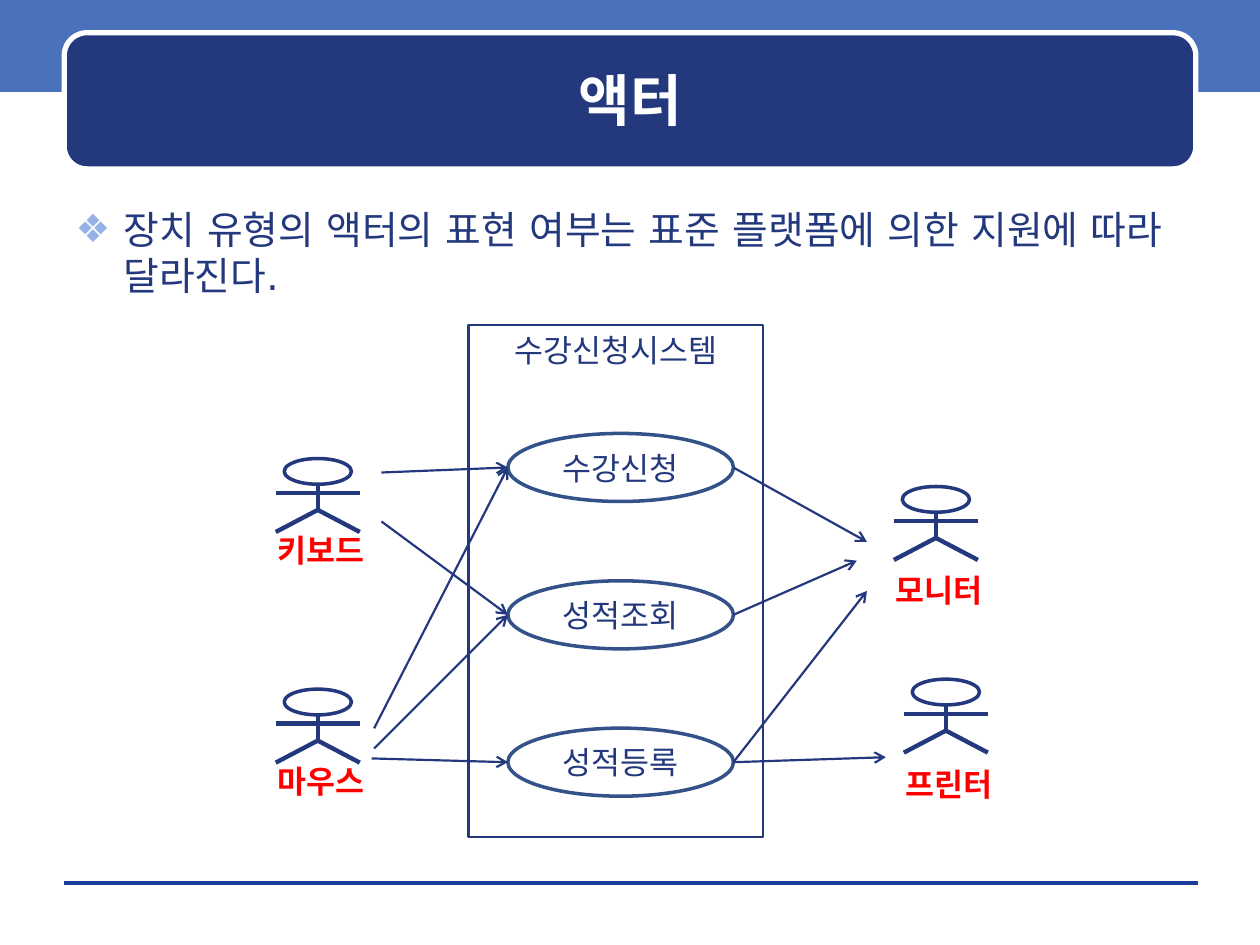
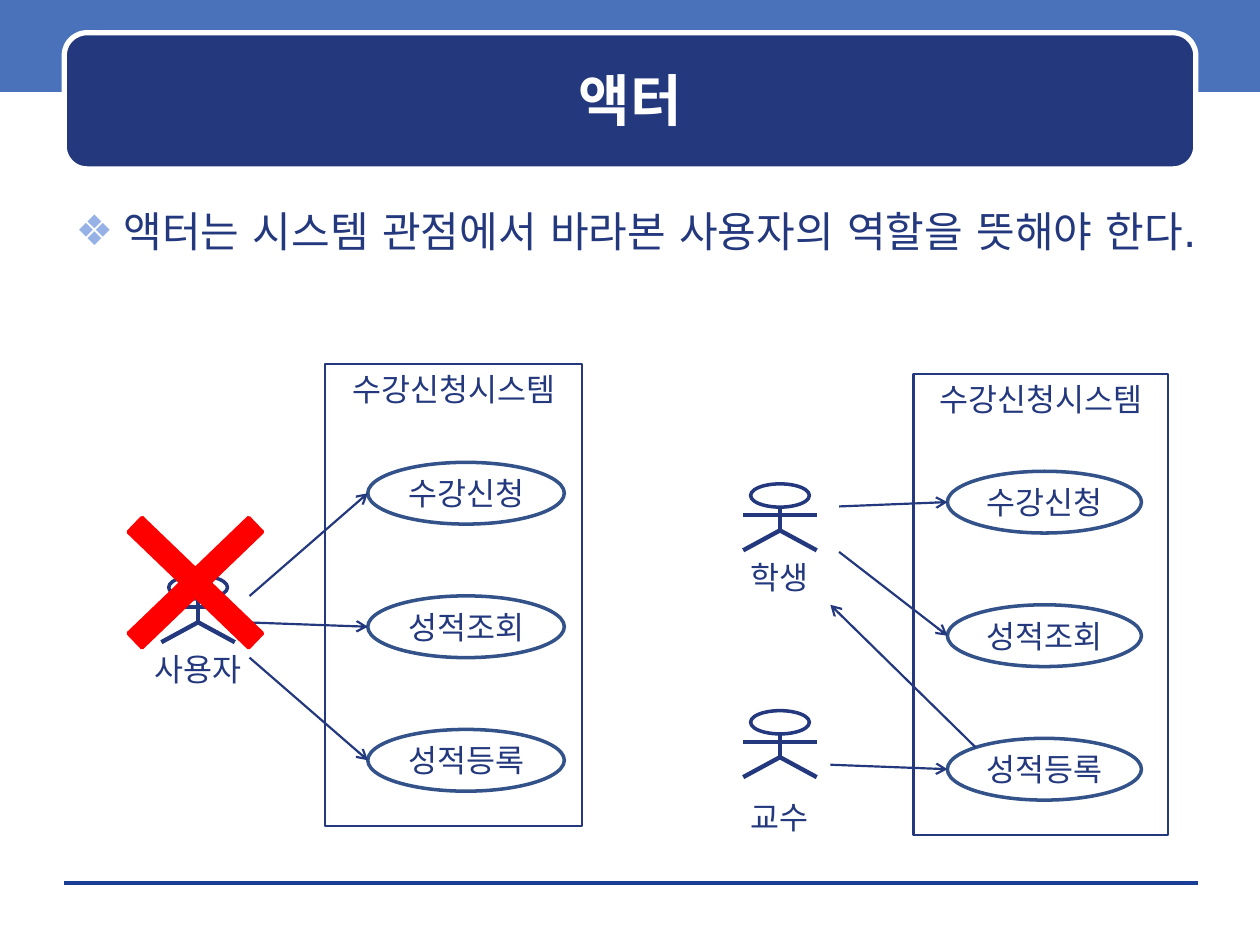
from lxml.etree import SubElement
from pptx import Presentation
from pptx.dml.color import RGBColor
from pptx.enum.shapes import MSO_CONNECTOR, MSO_SHAPE
from pptx.enum.text import MSO_ANCHOR, MSO_AUTO_SIZE, PP_ALIGN
from pptx.oxml.ns import qn
from pptx.util import Pt

NAVY = RGBColor(0x23, 0x38, 0x7D)
BAND_BLUE = RGBColor(0x49, 0x72, 0xBB)
RULE_BLUE = RGBColor(0x1A, 0x3D, 0x97)
CASE_BLUE = RGBColor(0x33, 0x52, 0x89)
BULLET_BLUE = RGBColor(0x96, 0xB1, 0xE6)
RED = RGBColor(0xFF, 0, 0)
WHITE = RGBColor(0xFF, 0xFF, 0xFF)
TEXT_FONT = "DejaVu Sans"
DIAGRAM_FONT = "Noto Sans CJK KR"

TITLE = "액터"
SYSTEM = "수강신청시스템"
USE_CASES = ["수강신청", "성적조회", "성적등록"]

# Boxes are left, top, width, height; "first_case" is the topmost use case.
# Actors are label, centre, top, drop from the head to the label.
# Arrows are use case number, side of its ellipse, outer end x and y.
DEVICES = {
    "system": (267.8, 185.8, 168.5, 292.3),
    "first_case": (290.2, 247.7, 128.9, 38.9),
    "pitch": 84.2,
    "figure": (48, 42),
    "label": {"color": RED, "bold": True},
    "label_width": 84,
    "label_shift": 2,
    "actors": [("키보드", 181.6, 262, 38), ("마우스", 181.6, 393.8, 38),
               ("모니터", 534.8, 278, 44.8), ("프린터", 540.5, 388.1, 45.3)],
    "arrows": [(0, "left", 218, 270), (1, "left", 218, 298),
               (2, "left", 212.4, 433.4), (0, "left", 213.8, 416.2),
               (1, "left", 213.8, 427.7), (0, "right", 495.4, 309.6),
               (1, "right", 489.6, 320.4), (2, "right", 495.4, 337.7),
               (2, "right", 506.2, 432.7)],
}
ROLES = {
    "figure": (42, 38),
    "label": {"color": NAVY},
    "label_width": 116,
    "label_shift": 0,
    "pitch": 76.3,
}
ONE_USER = {
    **ROLES,
    "system": (185.8, 208.1, 146.9, 264.2),
    "first_case": (210.2, 264.2, 112.3, 35.3),
    "actors": [("사용자", 113.2, 329, 38.9)],
    "arrows": [(0, "left", 142.6, 340.6), (1, "left", 142.6, 355.7),
               (2, "left", 142.6, 375.8)],
    "cross": (45.4, 269.3, 132.5, 127.4),
}
TWO_ROLES = {
    **ROLES,
    "system": (522, 213.8, 145.4, 263.5),
    "first_case": (541.4, 269.3, 110.9, 35.3),
    "actors": [("학생", 445.7, 276.5, 38.9), ("교수", 445.7, 406.1, 46.1)],
    "arrows": [(0, "left", 479.5, 289.4), (1, "left", 479.5, 315.4),
               (2, "left", 474.5, 437), (2, "upper left", 474.5, 345.6)],
}
PAGES = [
    ("장치 유형의 액터의 표현 여부는 표준 플랫폼에 의한 지원에 따라 달라진다.",
     22.2, [DEVICES]),
    ("액터는 시스템 관점에서 바라본 사용자의 역할을 뜻해야 한다.",
     24, [ONE_USER, TWO_ROLES]),
]
SIDES = {"left": (-1, 0), "right": (1, 0), "upper left": (-0.71, -0.71)}


def points(values):
    return [Pt(value) for value in values]


def write(frame, text, size, font, color=NAVY, bold=False,
          align=PP_ALIGN.CENTER):
    frame.text = text
    frame.word_wrap = True
    para = frame.paragraphs[0]
    para.alignment = align
    para.space_before = Pt(0)
    span = para.runs[0]
    span.font.size = Pt(size)
    span.font.bold = bold
    span.font.color.rgb = color
    span.font.name = font
    SubElement(span.font._element, qn("a:ea"), typeface=font)


def add_outline(page, kind, box, line=None, width=0, fill=None):
    shape = page.shapes.add_shape(kind, *points(box))
    shape.shadow.inherit = False
    if fill is None:
        shape.fill.background()
    else:
        shape.fill.solid()
        shape.fill.fore_color.rgb = fill
    if line is None:
        shape.line.fill.background()
    else:
        shape.line.color.rgb = line
        shape.line.width = Pt(width)
    return shape


def add_line(page, start, end, width, color=NAVY, arrow=False):
    line = page.shapes.add_connector(
        MSO_CONNECTOR.STRAIGHT, *points((*start, *end)))
    line.line.color.rgb = color
    line.line.width = Pt(width)
    if arrow:
        SubElement(line.line._get_or_add_ln(), qn("a:tailEnd"), type="arrow")
    SubElement(line.element.spPr, qn("a:effectLst"))
    return line


def move_frame_to_layout(page):
    """Draw the band, footer rule and title panel once, for every slide."""
    band = add_outline(page, MSO_SHAPE.RECTANGLE, (0, -2, 720, 54.5),
                       fill=BAND_BLUE)
    rule = add_line(page, (36.7, 504.7), (684.7, 504.7), 0, RULE_BLUE)
    panel = add_outline(page, MSO_SHAPE.ROUNDED_RECTANGLE,
                        (36.7, 18.7, 646.6, 77.8), WHITE, 3, NAVY)
    for number, shape in enumerate((band, rule, panel), start=20):
        shape.element.xpath(".//p:cNvPr")[0].set("id", str(number))
        page.slide_layout.shapes.element.append(shape.element)


def place(holder, box):
    holder.left, holder.top, holder.width, holder.height = points(box)
    holder.text_frame.auto_size = MSO_AUTO_SIZE.NONE


def add_heading(page, statement, size):
    title, body = page.shapes.title, page.placeholders[1]
    place(title, (43.2, 25.2, 634.3, 63.4))
    title.text_frame.vertical_anchor = MSO_ANCHOR.MIDDLE
    write(title.text_frame, TITLE, 32, TEXT_FONT, WHITE, True)

    place(body, (36, 113.8, 648, 66))
    write(body.text_frame, statement, size, TEXT_FONT, align=PP_ALIGN.LEFT)
    properties = body.text_frame.paragraphs[0]._p.get_or_add_pPr()
    properties.set("marL", str(Pt(27.4)))
    properties.set("indent", str(-Pt(27.4)))
    bullet_color = SubElement(properties, qn("a:buClr"))
    SubElement(bullet_color, qn("a:srgbClr"), val=str(BULLET_BLUE))
    SubElement(properties, qn("a:buChar"), char="❖")


def add_actor(page, diagram, label, center, top, drop):
    width, height = diagram["figure"]
    add_outline(page, MSO_SHAPE.OVAL,
                (center - 0.4 * width, top, 0.8 * width, 0.35 * height),
                NAVY, 2)
    left, right = center - width / 2, center + width / 2
    arms, foot = top + 0.47 * height, top + height
    neck, hip = (center, top + 0.35 * height), (center, top + 0.7 * height)
    for start, end in ((neck, hip), ((left, arms), (right, arms)),
                       (hip, (left, foot)), (hip, (right, foot))):
        add_line(page, start, end, 2.5)

    label_width = diagram["label_width"]
    label_left = center + diagram["label_shift"] - label_width / 2
    box = page.shapes.add_textbox(
        *points((label_left, top + drop, label_width, 28.8)))
    write(box.text_frame, label, 18, DIAGRAM_FONT, **diagram["label"])


def add_diagram(page, diagram):
    system = add_outline(page, MSO_SHAPE.RECTANGLE, diagram["system"],
                         NAVY, 1.25)
    system.text_frame.vertical_anchor = MSO_ANCHOR.TOP
    write(system.text_frame, SYSTEM, 18, DIAGRAM_FONT)

    left, first_top, width, height = diagram["first_case"]
    for number, name in enumerate(USE_CASES):
        top = first_top + number * diagram["pitch"]
        case = add_outline(page, MSO_SHAPE.OVAL, (left, top, width, height),
                           CASE_BLUE, 2)
        frame = case.text_frame
        frame.margin_left = frame.margin_right = 0
        frame.vertical_anchor = MSO_ANCHOR.MIDDLE
        write(frame, name, 18, DIAGRAM_FONT)

    for actor in diagram["actors"]:
        add_actor(page, diagram, *actor)

    for number, side, x, y in diagram["arrows"]:
        across, down = SIDES[side]
        middle = first_top + number * diagram["pitch"] + height / 2
        edge = (left + width / 2 * (1 + across), middle + height / 2 * down)
        ends = ((x, y), edge) if side == "left" else (edge, (x, y))
        add_line(page, *ends, 1.25, arrow=True)

    if "cross" in diagram:
        cross = add_outline(page, MSO_SHAPE.MATH_MULTIPLY, diagram["cross"],
                            RED, 2, RED)
        cross.adjustments[0] = 0.09


def main():
    deck = Presentation()
    deck.slide_width, deck.slide_height = Pt(720), Pt(540)
    layout = deck.slide_layouts[1]
    for index, (statement, size, diagrams) in enumerate(PAGES):
        page = deck.slides.add_slide(layout)
        if index == 0:
            move_frame_to_layout(page)
        add_heading(page, statement, size)
        for diagram in diagrams:
            add_diagram(page, diagram)
    deck.save("out.pptx")


if __name__ == "__main__":
    main()
